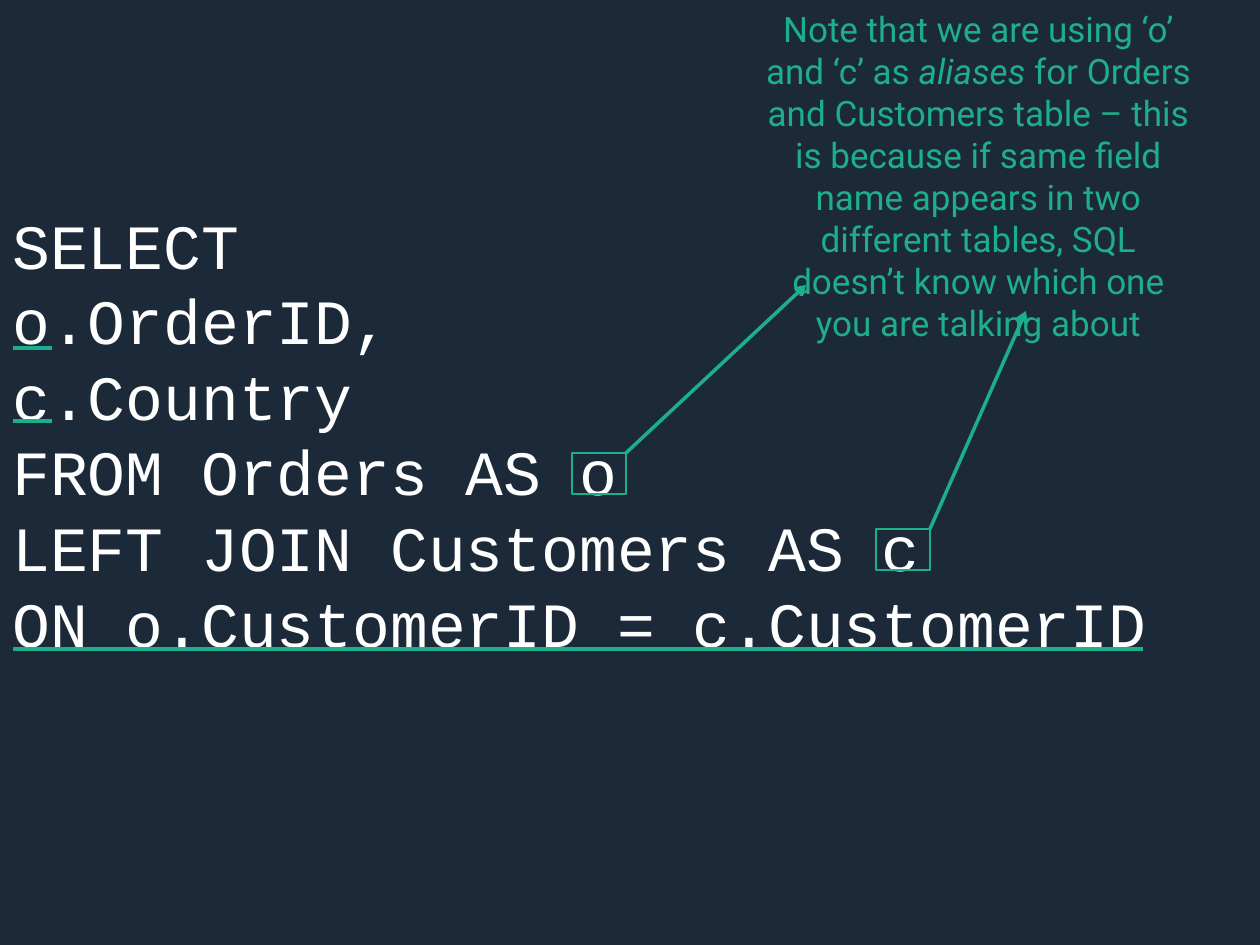
from lxml.etree import SubElement
from pptx import Presentation
from pptx.dml.color import RGBColor
from pptx.enum.shapes import MSO_CONNECTOR as Connector, MSO_SHAPE as Shape
from pptx.enum.text import PP_ALIGN as Align
from pptx.oxml.ns import qn
from pptx.util import Pt

PX = 914400 // 126
COLORS = {"background": "1C2939", "code": "FFFFFF", "accent": "1DAE8A"}
LINE_SPACING = 1.2

QUERY = [
    ["SELECT"],
    ["o.OrderID,"],
    ["c.Country"],
    ["FROM Orders AS o"],
    ["LEFT JOIN Customers AS c"],
    ["ON o.CustomerID = c.CustomerID"],
]
# Each paragraph is a list of spans; every second span is italic.
NOTE = [[
    "Note that we are using ‘o’ and ‘c’ as ",
    "aliases",
    " for Orders and Customers table – this is because if same field name "
    "appears in two different tables, SQL doesn’t know which one you are "
    "talking about",
]]

ALIAS_SIZE = (54, 41)
# Top left corner of each alias frame, and where its arrow points.
ALIASES = [((572, 453), (806, 285)), ((876, 529), (1026, 311))]
# Left, right and height of each underline.
UNDERLINES = [(13, 52, 348), (13, 52, 421), (13, 1143, 649)]


def px(*lengths):
    return [length * PX for length in lengths]


def color(name):
    return RGBColor.from_string(COLORS[name])


def add_text(page, paragraphs, area, *, font, size, fill, top_margin=6,
             align=Align.LEFT):
    box = page.shapes.add_textbox(*px(*area))
    frame = box.text_frame
    frame.word_wrap = True
    frame.margin_top = top_margin * PX
    for index, spans in enumerate(paragraphs):
        para = frame.add_paragraph() if index else frame.paragraphs[0]
        para.alignment = align
        para.line_spacing = Pt(size * LINE_SPACING)
        for position, text in enumerate(spans):
            span = para.add_run()
            span.text = text
            span.font.name = font
            span.font.size = Pt(size)
            span.font.italic = position % 2 == 1
            span.font.color.rgb = color(fill)


def add_frame(page, left, top):
    frame = page.shapes.add_shape(Shape.RECTANGLE, *px(left, top, *ALIAS_SIZE))
    frame.shadow.inherit = False
    frame.fill.background()
    frame.line.color.rgb = color("accent")
    frame.line.width = Pt(0.75)


def add_line(page, start, end, arrow=False):
    line = page.shapes.add_connector(Connector.STRAIGHT, *px(*start, *end))
    line.line.color.rgb = color("accent")
    line.line.width = Pt(2)
    if arrow:
        SubElement(line.line._get_or_add_ln(), qn("a:tailEnd"), type="arrow")
    SubElement(line._element.spPr, qn("a:effectLst"))


def main():
    deck = Presentation()
    deck.slide_width, deck.slide_height = px(1260, 945)
    page = deck.slides.add_slide(deck.slide_layouts[6])
    page.background.fill.solid()
    page.background.fill.fore_color.rgb = color("background")

    add_text(page, QUERY, (0, 193, 1260, 471), font="Courier New", size=36,
             fill="code", top_margin=13)
    add_text(page, NOTE, (750, 1, 457, 310), font="Roboto", size=20,
             fill="accent", align=Align.CENTER)
    for (left, top), target in ALIASES:
        add_frame(page, left, top)
        add_line(page, (left + ALIAS_SIZE[0], top), target, arrow=True)
    for left, right, height in UNDERLINES:
        add_line(page, (left, height), (right, height))

    deck.save("out.pptx")


if __name__ == "__main__":
    main()
